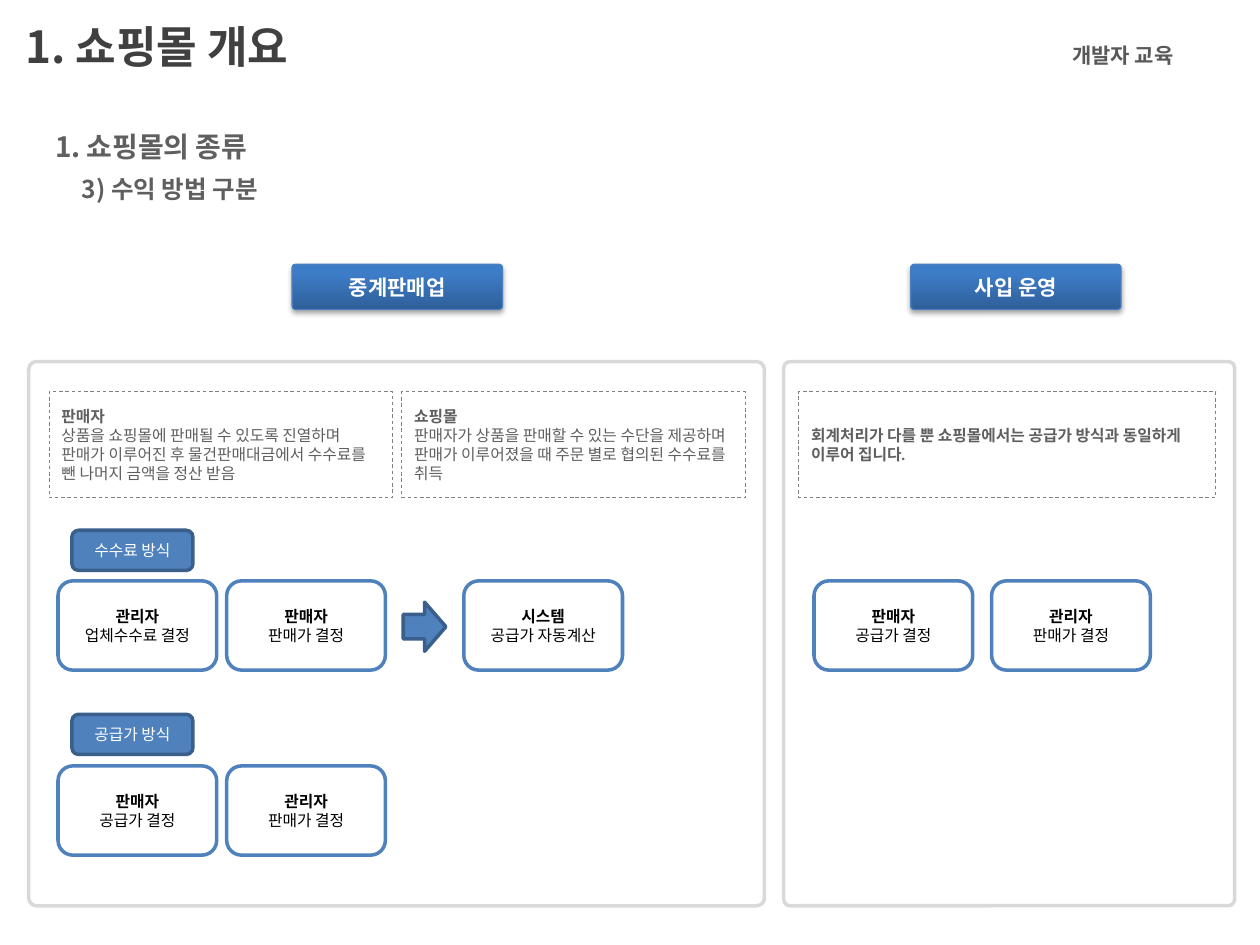
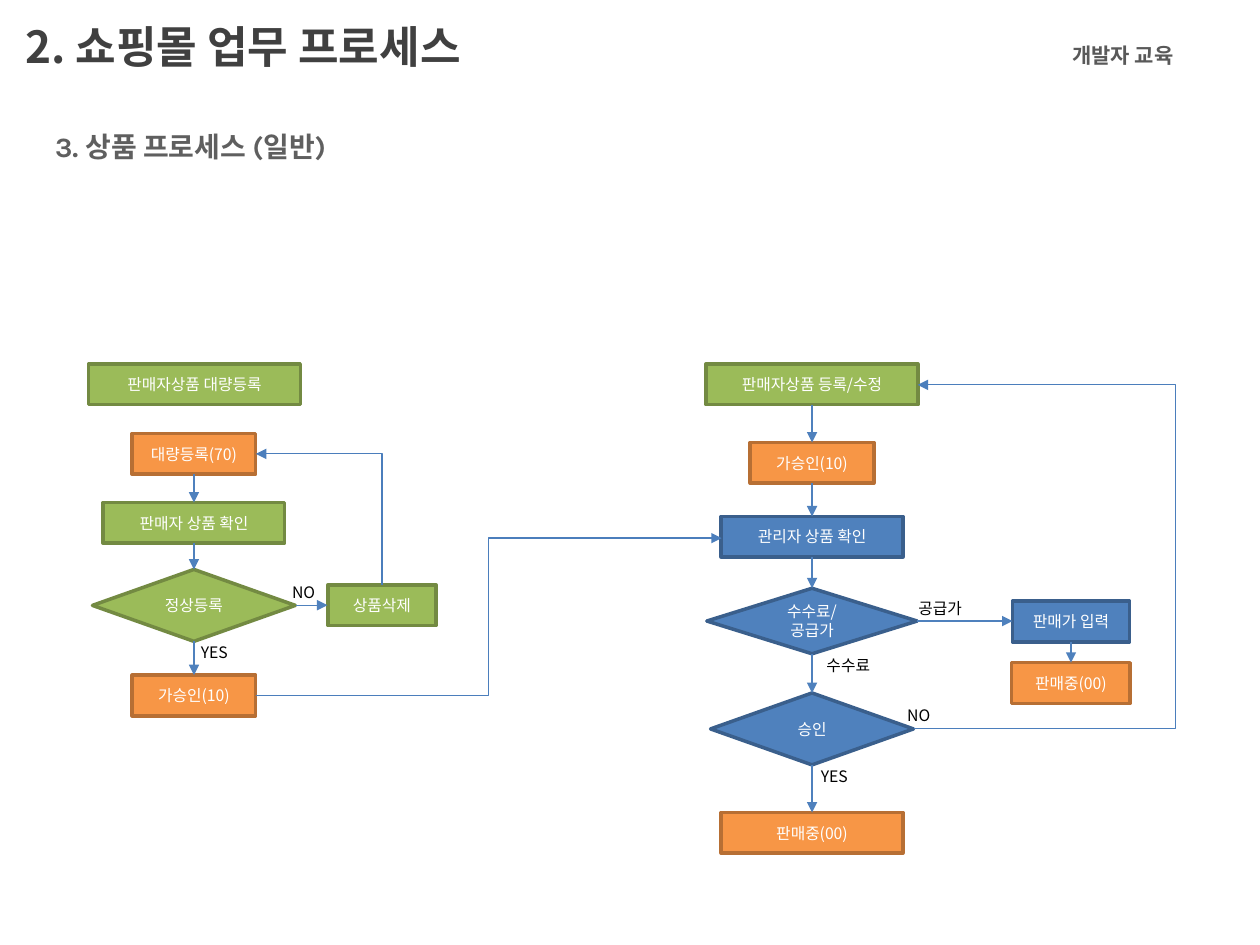
"""Build two slides on shopping mall types and the product registration process."""
from dataclasses import dataclass

from lxml.etree import SubElement
from pptx import Presentation
from pptx.dml.color import RGBColor
from pptx.enum.dml import MSO_LINE
from pptx.enum.shapes import MSO_CONNECTOR as Link, MSO_SHAPE as Kind
from pptx.enum.text import MSO_ANCHOR as Anchor, PP_ALIGN as Align
from pptx.oxml.ns import qn
from pptx.util import Cm, Pt


@dataclass(frozen=True)
class Theme:
    main: str = "Noto Sans CJK KR"
    note: str = "Karla"
    tagline: str = "Arial"
    title_size: float = 25.2
    heading_size: float = 16
    subheading_size: float = 14
    label_size: float = 12
    body_size: float = 9
    white: str = "FFFFFF"
    black: str = "000000"
    title: str = "404040"
    heading: str = "5F5F5F"
    tag: str = "595959"
    panel: str = "D9D9D9"
    dash: str = "808080"
    blue: str = "4F81BD"
    blue_edge: str = "3A5F8C"
    green: str = "9BBB59"
    green_edge: str = "738A42"
    orange: str = "F79646"
    orange_edge: str = "B76F34"
    elbow: str = "4B7EBC"
    banner_low: str = "2F5F99"
    banner_high: str = "3D7CC7"


theme = Theme()
rgb = RGBColor.from_string


def write(box, lines, color, font=theme.main, size=theme.body_size, bold=(False,),
          align=Align.CENTER, anchor=Anchor.MIDDLE):
    frame = box.text_frame
    frame.word_wrap = True
    frame.vertical_anchor = anchor
    for index, line in enumerate(lines):
        para = frame.add_paragraph() if index else frame.paragraphs[0]
        para.alignment = align
        span = para.add_run()
        span.text = line
        span.font.size = Pt(size)
        span.font.bold = bold[min(index, len(bold) - 1)]
        span.font.color.rgb = rgb(color)
        span.font.name = font
        SubElement(span.font._element, qn("a:ea"), typeface=theme.main)
    return frame


def add_box(page, kind, place, fill, edge=None, width=2):
    box = page.shapes.add_shape(kind, *map(Cm, place))
    box.shadow.inherit = False
    box.fill.solid()
    box.fill.fore_color.rgb = rgb(fill)
    if edge:
        box.line.color.rgb = rgb(edge)
        box.line.width = Pt(width)
    else:
        box.line.fill.background()
    return box


deck = Presentation()
deck.slide_width, deck.slide_height = Cm(25.4), Cm(19.05)

pages = []
for title, headings, heading_font in [
    ("1. 쇼핑몰 개요", ["1. 쇼핑몰의 종류", "3) 수익 방법 구분"], theme.main),
    ("2. 쇼핑몰 업무 프로세스", ["3. 상품 프로세스 (일반)"], theme.note),
]:
    page = deck.slides.add_slide(deck.slide_layouts[6])
    pages.append(page)
    box = page.shapes.add_textbox(Cm(1.3), Cm(0.69), Cm(22.61), Cm(0.79))
    frame = write(box, ["개발자 교육"], theme.tag, theme.tagline, theme.label_size,
                  (True,), Align.RIGHT)
    frame.paragraphs[0].line_spacing = 1.1
    box = page.shapes.add_textbox(0, Cm(0.33), Cm(22.61), Cm(1.19))
    frame = write(box, [title], theme.title, size=theme.title_size, bold=(True,), align=Align.LEFT)
    frame.margin_left = Cm(0.51)
    box = add_box(page, Kind.RECTANGLE, (0.86, 2.49, 11.84, 1.78), theme.white)
    frame = write(box, headings, theme.heading, heading_font, theme.heading_size, (True,),
                  Align.LEFT, Anchor.TOP)
    for para in frame.paragraphs:
        para.space_before = Pt(6)
    for para in frame.paragraphs[1:]:
        para.runs[0].font.size = Pt(theme.subheading_size)
        para._p.get_or_add_pPr().set("marL", str(Cm(0.54)))

types_page, process_page = pages

for left, text in [(5.89, "중계판매업"), (18.36, "사입 운영")]:
    box = add_box(types_page, Kind.ROUNDED_RECTANGLE, (left, 5.33, 4.24, 0.91),
                  theme.banner_high, theme.elbow, 0.75)
    box.adjustments[0] = 0.075
    box.fill.gradient()
    box.fill.gradient_angle = 90
    low, high = box.fill.gradient_stops
    low.color.rgb, high.color.rgb = rgb(theme.banner_low), rgb(theme.banner_high)
    low.position, high.position = 0, 0.8
    effects = box._element.spPr.find(qn("a:effectLst"))
    shadow = SubElement(effects, qn("a:outerShdw"), blurRad=str(Pt(3.1)), dist=str(Pt(1.8)),
                        dir="5400000", rotWithShape="0")
    shade = SubElement(shadow, qn("a:srgbClr"), val=theme.black)
    SubElement(shade, qn("a:alpha"), val="35000")
    write(box, [text], theme.white, size=theme.label_size, bold=(True,))

for left, width in [(0.58, 14.83), (15.8, 9.09)]:
    panel = add_box(types_page, Kind.ROUNDED_RECTANGLE, (left, 7.29, width, 10.97),
                    theme.white, theme.panel)
    panel.adjustments[0] = 0.014

for left, width, lines in [
    (0.99, 6.93, ["판매자", "상품을 쇼핑몰에 판매될 수 있도록 진열하며 판매가 이루어진 후 "
                  "물건판매대금에서 수수료를 뺀 나머지 금액을 정산 받음"]),
    (8.1, 6.93, ["쇼핑몰", "판매자가 상품을 판매할 수 있는 수단을 제공하며 판매가 이루어졌을 때 "
                 "주문 별로 협의된 수수료를 취득"]),
    (16.1, 8.41, ["회계처리가 다를 뿐 쇼핑몰에서는 공급가 방식과 동일하게 이루어 집니다."]),
]:
    box = add_box(types_page, Kind.RECTANGLE, (left, 7.9, width, 2.13),
                  theme.white, theme.dash, 0.5)
    box.line.dash_style = MSO_LINE.DASH
    write(box, lines, theme.heading, theme.note, bold=(True, False), align=Align.LEFT)

for top, text in [(10.69, "수수료 방식"), (14.4, "공급가 방식")]:
    box = add_box(types_page, Kind.FLOWCHART_ALTERNATE_PROCESS, (1.45, top, 2.44, 0.81),
                  theme.blue, theme.blue_edge)
    write(box, [text], theme.white)

for left, top, actor, action in [
    (1.17, 11.71, "관리자", "업체수수료 결정"),
    (4.57, 11.71, "판매자", "판매가 결정"),
    (9.35, 11.71, "시스템", "공급가 자동계산"),
    (1.17, 15.44, "판매자", "공급가 결정"),
    (4.57, 15.44, "관리자", "판매가 결정"),
    (16.41, 11.71, "판매자", "공급가 결정"),
    (19.99, 11.71, "관리자", "판매가 결정"),
]:
    box = add_box(types_page, Kind.FLOWCHART_ALTERNATE_PROCESS, (left, top, 3.2, 1.8),
                  theme.white, theme.blue)
    write(box, [actor, action], theme.black, bold=(True, False))

add_box(types_page, Kind.RIGHT_ARROW, (8.13, 12.14, 0.86, 0.99), theme.blue, theme.blue_edge)

process, decision = Kind.FLOWCHART_PROCESS, Kind.FLOWCHART_DECISION
blue = theme.blue, theme.blue_edge
green = theme.green, theme.green_edge
orange = theme.orange, theme.orange_edge
columns = [
    (3.92, [(process, green, 7.34, 4.27, 0.82, ["판매자상품 대량등록"])]),
    (3.91, [
        (process, orange, 8.74, 2.49, 0.82, ["대량등록(70)"]),
        (process, green, 10.13, 3.66, 0.82, ["판매자 상품 확인"]),
        (decision, green, 11.48, 4.09, 1.45, ["정상등록"]),
        (process, orange, 13.61, 2.49, 0.82, ["가승인(10)"]),
    ]),
    (7.7, [(process, green, 11.79, 2.18, 0.82, ["상품삭제"])]),
    (16.37, [
        (process, green, 7.34, 4.27, 0.82, ["판매자상품 등록/수정"]),
        (process, orange, 8.92, 2.49, 0.82, ["가승인(10)"]),
        (process, blue, 10.41, 3.66, 0.82, ["관리자 상품 확인"]),
        (decision, blue, 11.86, 4.24, 1.32, ["수수료/", "공급가"]),
        (decision, blue, 13.97, 4.09, 1.45, ["승인"]),
        (process, orange, 16.38, 3.66, 0.82, ["판매중(00)"]),
    ]),
    (21.59, [
        (process, blue, 12.12, 2.36, 0.82, ["판매가 입력"]),
        (process, orange, 13.36, 2.39, 0.82, ["판매중(00)"]),
    ]),
]
arrows = [((5.97, 12.2), (6.6, 12.2)), ((18.49, 12.52), (20.41, 12.52))]
for centre, steps in columns:
    bottom = None
    for kind, (fill, edge), top, width, height, lines in steps:
        box = add_box(process_page, kind, (centre - width / 2, top, width, height), fill, edge)
        write(box, lines, theme.white)
        if bottom:
            arrows.append(((centre, bottom), (centre, top)))
        bottom = top + height

for left, top, text in [
    (3.43, 12.8, "YES"), (5.23, 11.58, "NO"), (16.21, 13.06, "수수료"),
    (18.06, 11.91, "공급가"), (15.93, 15.29, "YES"), (17.63, 14.07, "NO"),
]:
    box = process_page.shapes.add_textbox(Cm(left), Cm(top), Cm(1.78), Cm(0.71))
    write(box, [text], theme.black)

links = [(Link.STRAIGHT, start, end, None, "tailEnd") for start, end in arrows] + [
    (Link.ELBOW, (5.16, 14.02), (14.55, 10.85), 9.85, "tailEnd"),
    (Link.ELBOW, (18.42, 14.69), (18.5, 7.76), 23.7, "tailEnd"),
    (Link.ELBOW, (5.16, 9.15), (7.7, 11.79), None, "headEnd"),
]
for kind, start, end, bend, head in links:
    link = process_page.shapes.add_connector(kind, *map(Cm, start + end))
    link.line.color.rgb = rgb(theme.blue if kind == Link.STRAIGHT else theme.elbow)
    link.line.width = Pt(0.75)
    outline = link._element.spPr
    SubElement(outline.find(qn("a:ln")), qn("a:" + head), type="triangle")
    SubElement(outline, qn("a:effectLst"))
    geometry = outline.find(qn("a:prstGeom"))
    if bend:
        share = round((bend - start[0]) / (end[0] - start[0]) * 100000)
        SubElement(geometry.find(qn("a:avLst")), qn("a:gd"), name="adj1", fmla=f"val {share}")
    elif kind == Link.ELBOW:
        geometry.set("prst", "bentConnector2")

deck.save("out.pptx")
